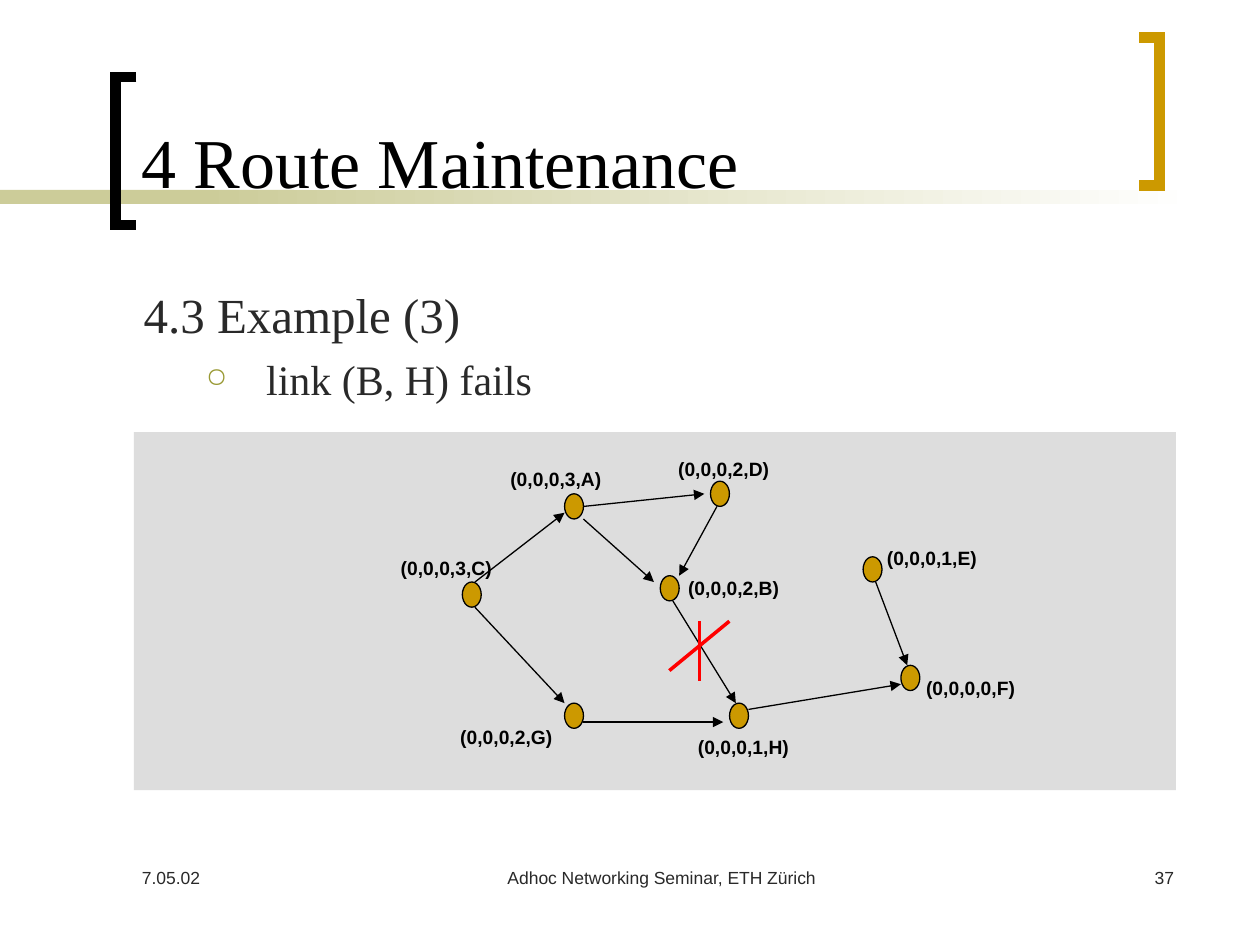
from lxml.etree import SubElement
from pptx import Presentation
from pptx.dml.color import RGBColor
from pptx.enum.shapes import MSO_CONNECTOR, MSO_SHAPE
from pptx.enum.text import MSO_ANCHOR, PP_ALIGN
from pptx.oxml.ns import qn
from pptx.util import Pt

BLACK = RGBColor(0x00, 0x00, 0x00)
INK = RGBColor(0x29, 0x29, 0x29)
WHITE = RGBColor(0xFF, 0xFF, 0xFF)
SAND = RGBColor(0xCC, 0xCC, 0x99)
GOLD = RGBColor(0xCC, 0x99, 0x00)
PANEL = RGBColor(0xDD, 0xDD, 0xDD)
RED = RGBColor(0xFF, 0x00, 0x00)

prs = Presentation()
prs.slide_width, prs.slide_height = Pt(720), Pt(540)
slide = prs.slides.add_slide(prs.slide_layouts[6])
shapes = slide.shapes


def add_text(box, text, size, face="Arial", color=INK, align=PP_ALIGN.LEFT):
    """Put one paragraph in a new text box; box is left, top, width, height."""
    frame = shapes.add_textbox(*map(Pt, box)).text_frame
    frame.word_wrap = True
    paragraph = frame.paragraphs[0]
    paragraph.text, paragraph.alignment = text, align
    font = paragraph.font
    font.size, font.name, font.color.rgb = Pt(size), face, color
    return frame


def add_line(ends, color, width):
    """Draw a straight line; ends is x1, y1, x2, y2."""
    line = shapes.add_connector(MSO_CONNECTOR.STRAIGHT, *map(Pt, ends))
    line.line.color.rgb, line.line.width = color, Pt(width)
    SubElement(line._element.spPr, qn("a:effectLst"))
    return line


# Title rule: solid on the left, fading to white on the right
for left, width in ((0, 168), (114, 570)):
    rule = shapes.add_shape(MSO_SHAPE.RECTANGLE, Pt(left), Pt(108.5), Pt(width), Pt(8))
    rule.shadow.inherit = False
    rule.line.fill.background()
    if left == 0:
        rule.fill.solid()
        rule.fill.fore_color.rgb = SAND
    else:
        rule.fill.gradient()
        rule.fill.gradient_angle = 0
        for stop, color in zip(rule.fill.gradient_stops, (SAND, WHITE)):
            stop.color.rgb = color

# Brackets: tip x, spine x, top, colour
for tip, spine, top, color in ((78, 66, 44, BLACK), (651, 662.5, 21.5, GOLD)):
    bottom = top + 84.5
    outline = shapes.build_freeform(Pt(tip), Pt(top))
    corners = [(spine, top), (spine, bottom), (tip, bottom)]
    outline.add_line_segments([(Pt(x), Pt(y)) for x, y in corners], close=False)
    bracket = outline.convert_to_shape()
    bracket.shadow.inherit = False
    bracket.fill.background()
    bracket.line.color.rgb, bracket.line.width = color, Pt(6)
    SubElement(bracket.line._get_or_add_ln(), qn("a:miter"), lim="800000")

# Footer
add_text((74, 492, 150, 36), "7.05.02", 10)
add_text((264, 492, 228, 36), "Adhoc Networking Seminar, ETH Zürich", 10, align=PP_ALIGN.CENTER)
add_text((528, 492, 150, 36), "37", 10, align=PP_ALIGN.RIGHT)

# Title and body
title = add_text((73.5, 8, 564, 111.5), "4 Route Maintenance", 40, "Times New Roman", BLACK)
title.vertical_anchor = MSO_ANCHOR.BOTTOM

body = add_text((75, 159, 603, 80), "4.3 Example (3)", 28, "Times New Roman")
failure = body.add_paragraph()
failure.text, failure.level, failure.space_before = "link (B, H) fails", 1, Pt(6)
props = failure._p.get_or_add_pPr()
props.set("marL", str(Pt(70)))
props.set("indent", str(Pt(-34.5)))
SubElement(SubElement(props, qn("a:buClr")), qn("a:srgbClr"), val="999933")
SubElement(props, qn("a:buSzPct"), val="65000")
SubElement(props, qn("a:buChar"), char="○")
failure.font.size, failure.font.name = Pt(24), "Times New Roman"
failure.font.color.rgb = INK

# Network
panel = shapes.add_shape(MSO_SHAPE.RECTANGLE, Pt(76.5), Pt(247), Pt(595.5), Pt(204.5))
panel.shadow.inherit = False
panel.fill.solid()
panel.fill.fore_color.rgb = PANEL
panel.line.fill.background()

# Node: height in its label, node left and top, label left and top
nodes = {
    "A": (3, 322.6, 282.2, 286.6, 264.2),
    "D": (2, 406, 275, 382.5, 258.5),
    "C": (3, 264.2, 332.6, 224, 315.4),
    "E": (1, 493.2, 318.2, 501.8, 309.6),
    "B": (2, 377.3, 329, 388.2, 326.8),
    "G": (2, 322.6, 401.8, 258, 411.8),
    "H": (1, 416.9, 401.8, 393.8, 417.6),
    "F": (0, 514.8, 380.2, 524.2, 383.6),
}
for left, top in (place[1:3] for place in nodes.values()):
    node = shapes.add_shape(MSO_SHAPE.OVAL, Pt(left), Pt(top), Pt(10.8), Pt(14.4))
    node.shadow.inherit = False
    node.fill.solid()
    node.fill.fore_color.rgb = GOLD
    node.line.color.rgb, node.line.width = BLACK, Pt(0.75)

links = [
    (271.4, 332.6, 322.6, 293),  # C to A
    (333.4, 289.4, 402.5, 282.2),  # A to D
    (271.4, 347, 322.6, 401.8),  # C to G
    (333.4, 296.6, 373.7, 332.6),  # A to B
    (409.7, 289.4, 388.1, 329),  # D to B
    (333.4, 412.6, 413.3, 412.6),  # G to H
    (384.5, 343.4, 420.5, 401.8),  # B to H
    (427.7, 405.4, 514.8, 391),  # H to F
    (500.4, 332.6, 518.4, 380.2),  # E to F
]
for ends in links:
    link = add_line(ends, BLACK, 0.75)
    SubElement(link.line._get_or_add_ln(), qn("a:tailEnd"), type="triangle")

for name, (height, _, _, left, top) in nodes.items():
    label = add_text((left, top, 73.5, 18.7), f"(0,0,0,{height},{name})", 11, color=BLACK)
    label.margin_left = label.margin_right = Pt(5)
    label.margin_top = label.margin_bottom = Pt(2.7)
    label.paragraphs[0].font.bold = True

# Failed link B to H
for stroke in ((382.5, 383.2, 416.8, 355), (399.8, 355, 399.8, 389)):
    add_line(stroke, RED, 2)

prs.save("out.pptx")
